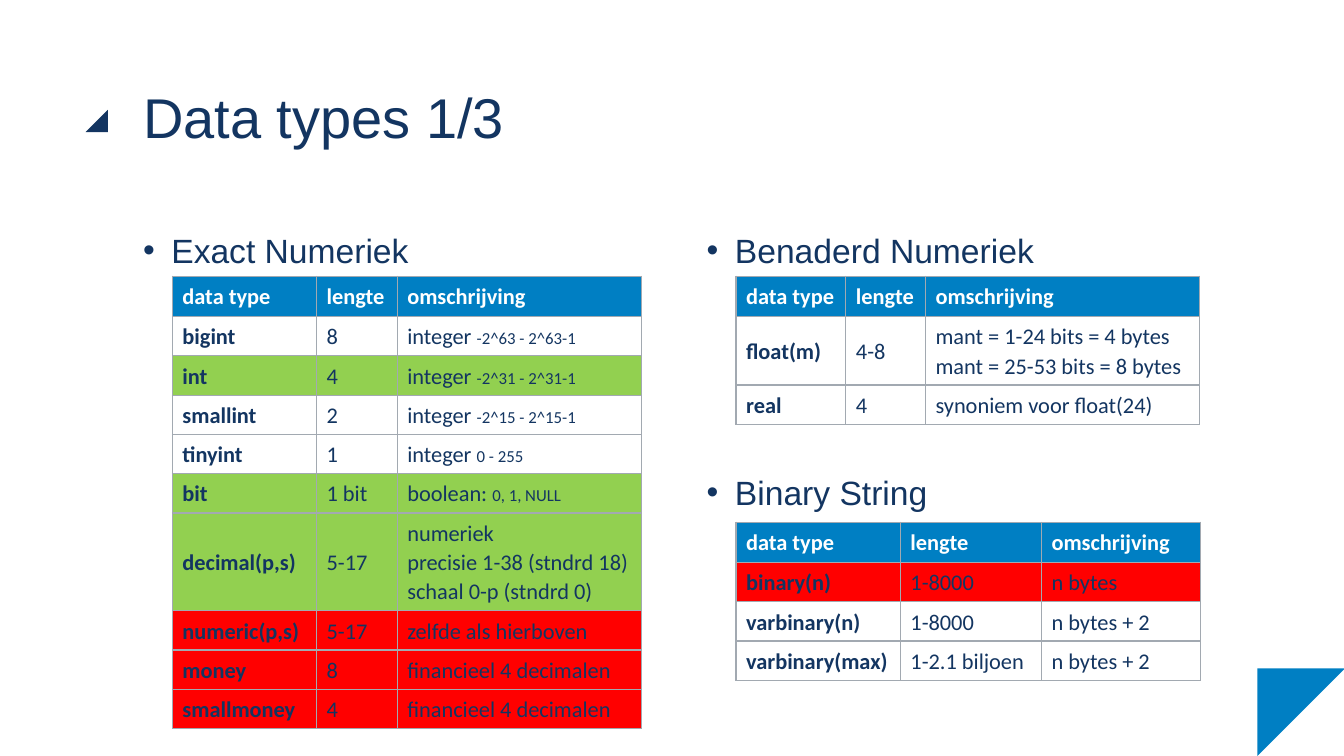
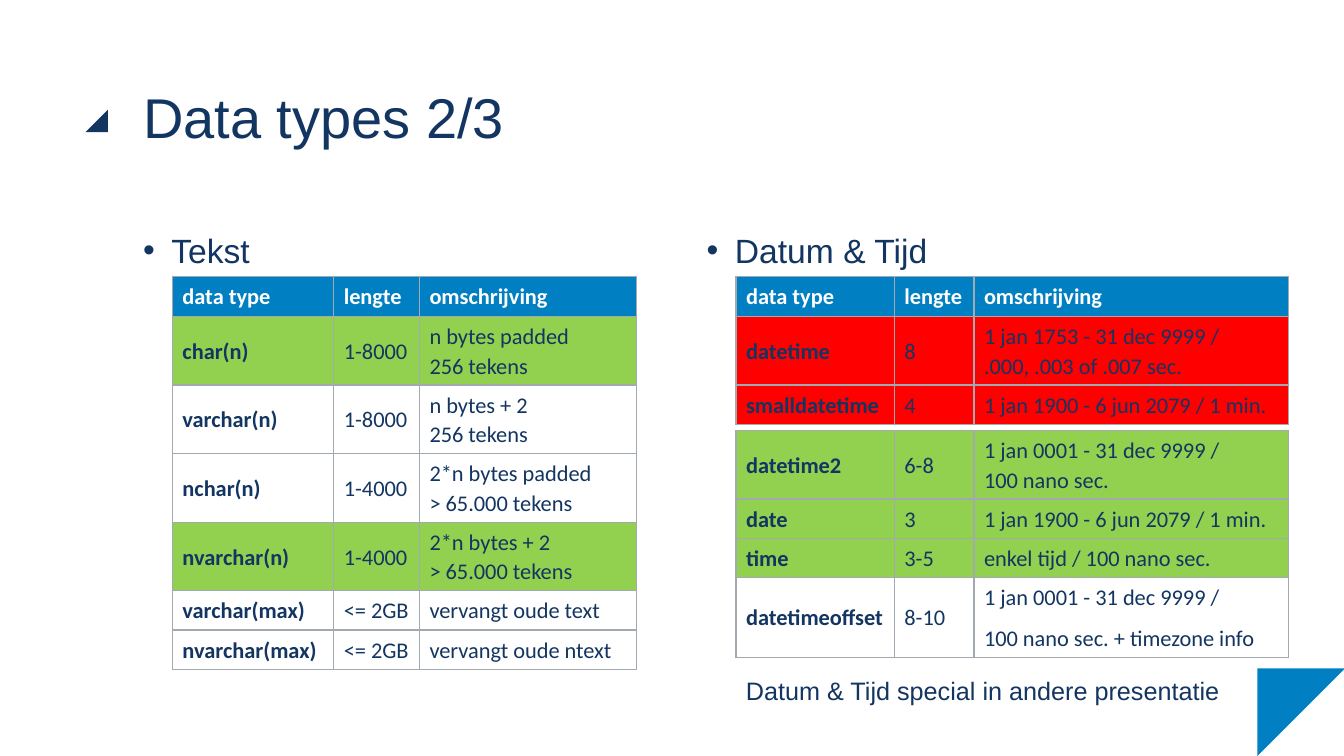
from copy import deepcopy

from lxml.etree import SubElement
from pptx import Presentation
from pptx.dml.color import RGBColor
from pptx.enum.shapes import MSO_SHAPE as SHAPE
from pptx.enum.text import MSO_ANCHOR as ANCHOR, MSO_AUTO_SIZE as AUTO, PP_ALIGN as ALIGN
from pptx.oxml.ns import qn
from pptx.util import Inches, Pt

COLORS = {"navy": "133561", "blue": "007FC3", "white": "FFFFFF",
          "green": "92D050", "red": "FF0000", "grid": "A2A9B1"}
HEADER = ("blue", "data type", "lengte", "omschrijving")
LEFT, RIGHT = 1.42, 7.01
TOP, LOWER = 2.2, 4.6
INDENT = 0.28
TABLE_SHIFT = 0.29
TABLE_TOP = 2.74
HEADER_H, LINE_H, CELL_PAD, PARA_GAP = 0.4, 0.29, 0.1, 0.11
DATE_COLS = (1.57, 0.79, 3.12)

SLIDES = [
    {
        "title": "Data types 1/3",
        "headings": [("Exact Numeriek", LEFT, TOP), ("Benaderd Numeriek", RIGHT, TOP),
                     ("Binary String", RIGHT, LOWER)],
        "tables": [
            (LEFT, TABLE_TOP, (1.43, 0.8, 2.42), [
                HEADER,
                ("white", "bigint", "8", "integer |-2^63 - 2^63-1"),
                ("green", "int", "4", "integer |-2^31 - 2^31-1"),
                ("white", "smallint", "2", "integer |-2^15 - 2^15-1"),
                ("white", "tinyint", "1", "integer |0 - 255"),
                ("green", "bit", "1 bit", "boolean: |0, 1, NULL"),
                ("green", "decimal(p,s)", "5-17",
                 "numeriek\nprecisie 1-38 (stndrd 18)\nschaal 0-p (stndrd 0)"),
                ("red", "numeric(p,s)", "5-17", "zelfde als hierboven"),
                ("red", "money", "8", "financieel 4 decimalen"),
                ("red", "smallmoney", "4", "financieel 4 decimalen"),
            ]),
            (RIGHT, TABLE_TOP, (1.09, 0.79, 2.72), [
                HEADER,
                ("white", "float(m)", "4-8",
                 "mant = 1-24 bits = 4 bytes\nmant = 25-53 bits = 8 bytes"),
                ("white", "real", "4", "synoniem voor float(24)"),
            ]),
            (RIGHT, 5.18, (1.63, 1.4, 1.58), [
                HEADER,
                ("red", "binary(n)", "1-8000", "n bytes"),
                ("white", "varbinary(n)", "1-8000", "n bytes + 2"),
                ("white", "varbinary(max)", "1-2.1 biljoen", "n bytes + 2"),
            ]),
        ],
    },
    {
        "title": "Data types 2/3",
        "headings": [("Tekst", LEFT, TOP), ("Datum & Tijd", RIGHT, TOP)],
        "tables": [
            (LEFT, TABLE_TOP, (1.6, 0.85, 2.15), [
                HEADER,
                ("green", "char(n)", "1-8000", "n bytes padded\n256 tekens"),
                ("white", "varchar(n)", "1-8000", "n bytes + 2\n256 tekens"),
                ("white", "nchar(n)", "1-4000", "2*n bytes padded\n> 65.000 tekens"),
                ("green", "nvarchar(n)", "1-4000", "2*n bytes + 2\n> 65.000 tekens"),
                ("white", "varchar(max)", "<= 2GB", "vervangt oude text"),
                ("white", "nvarchar(max)", "<= 2GB", "vervangt oude ntext"),
            ]),
            (RIGHT, TABLE_TOP, DATE_COLS, [
                HEADER,
                ("red", "datetime", "8", "1 jan 1753 - 31 dec 9999 /\n.000, .003 of .007 sec."),
                ("red", "smalldatetime", "4", "1 jan 1900 - 6 jun 2079 / 1 min."),
            ]),
            (RIGHT, 4.27, DATE_COLS, [
                ("green", "datetime2", "6-8", "1 jan 0001 - 31 dec 9999 /\n100 nano sec."),
                ("green", "date", "3", "1 jan 1900 - 6 jun 2079 / 1 min."),
                ("green", "time", "3-5", "enkel tijd / 100 nano sec."),
                ("white", "datetimeoffset", "8-10",
                 ["1 jan 0001 - 31 dec 9999 /", "100 nano sec. + timezone info"]),
            ]),
        ],
        "note": "Datum & Tijd special in andere presentatie",
    },
]


def rgb(name):
    return RGBColor.from_string(COLORS[name])


def add_run(p, text, size, color="navy", font="Arial", bold=False):
    r = p.add_run()
    r.text = text
    r.font.size, r.font.name, r.font.bold = Pt(size), font, bold
    r.font.color.rgb = rgb(color)
    return r


def place(sp, x, y, w, h):
    sp.left, sp.top, sp.width, sp.height = (Inches(v) for v in (x, y, w, h))


def clear_margins(tf):
    tf.margin_left = tf.margin_right = tf.margin_top = tf.margin_bottom = 0
    tf.vertical_anchor = ANCHOR.TOP
    tf.word_wrap = True


def add_triangle(s, x, y, size, color):
    sp = s.shapes.add_shape(SHAPE.RIGHT_TRIANGLE, Inches(x), Inches(y), Inches(size), Inches(size))
    sp.shadow.inherit = False
    sp.fill.solid()
    sp.fill.fore_color.rgb = rgb(color)
    sp.line.fill.background()
    return sp


def add_frame(s, title):
    add_triangle(s, 0.85, 1.09, 0.22, "navy").element.spPr.get_or_add_xfrm().set("flipH", "1")
    add_triangle(s, 12.47, 6.63, 0.87, "blue").rotation = 90
    sp = s.shapes.title
    place(sp, LEFT, 0.79, 10.79, 1.42)
    tf = sp.text_frame
    clear_margins(tf)
    tf.auto_size = AUTO.NONE
    p = tf.paragraphs[0]
    p.alignment, p.line_spacing = ALIGN.LEFT, 1.05
    add_run(p, title, 40)


def add_heading(s, text, x, y):
    tf = s.shapes.add_textbox(Inches(x), Inches(y), Inches(5.2), Inches(0.5)).text_frame
    clear_margins(tf)
    p = tf.paragraphs[0]
    p.line_spacing = 1.2
    pPr = p._p.get_or_add_pPr()
    pPr.set("marL", str(Inches(INDENT)))
    pPr.set("indent", str(-Inches(INDENT)))
    SubElement(pPr, qn("a:buFont")).set("typeface", "Arial")
    SubElement(pPr, qn("a:buChar")).set("char", "•")
    add_run(p, text, 24)


def add_borders(cell):
    tcPr = cell._tc.get_or_add_tcPr()
    for side in "LRTB":
        ln = SubElement(tcPr, qn(f"a:ln{side}"), w=str(Pt(1)))
        SubElement(SubElement(ln, qn("a:solidFill")), qn("a:srgbClr")).set("val", COLORS["grid"])


def fill_cell(cell, content, fill, color, bold):
    add_borders(cell)
    cell.fill.solid()
    cell.fill.fore_color.rgb = rgb(fill)
    cell.vertical_anchor = ANCHOR.MIDDLE
    tf = cell.text_frame
    for i, text in enumerate(paragraphs_of(content)):
        p = tf.add_paragraph() if i else tf.paragraphs[0]
        p.line_spacing, p.space_after = 1.07, Pt(8)
        for j, line in enumerate(text.split("\n")):
            if j:
                p.add_line_break()
                p._p[-1].append(deepcopy(r._r.rPr))
            main, _, small = line.partition("|")
            r = add_run(p, main, 16, color, "Calibri", bold)
            if small:
                add_run(p, small, 12, color, "Calibri", bold)


def paragraphs_of(content):
    return content if isinstance(content, list) else [content]


def row_height(row):
    if row == HEADER:
        return HEADER_H
    paras = paragraphs_of(row[-1])
    lines = sum(text.count("\n") + 1 for text in paras)
    return CELL_PAD + lines * LINE_H + (len(paras) - 1) * PARA_GAP


def add_data_table(s, x, y, widths, rows):
    heights = [row_height(row) for row in rows]
    tbl = s.shapes.add_table(len(rows), len(widths), Inches(x + TABLE_SHIFT), Inches(y),
                             Inches(sum(widths)), Inches(sum(heights))).table
    tbl.first_row = rows[0] == HEADER
    tbl.horz_banding = False
    for col, width in zip(tbl.columns, widths):
        col.width = Inches(width)
    for i, (fill, *contents) in enumerate(rows):
        tbl.rows[i].height = Inches(heights[i])
        header = rows[i] == HEADER
        for j, content in enumerate(contents):
            fill_cell(tbl.cell(i, j), content, fill, "white" if header else "navy",
                      header or j == 0)


def add_note(s, text):
    tf = s.shapes.add_textbox(Inches(RIGHT + TABLE_SHIFT), Inches(6.65),
                              Inches(5.2), Inches(0.4)).text_frame
    tf.word_wrap = True
    add_run(tf.paragraphs[0], text, 18)


def main():
    prs = Presentation()
    prs.slide_width, prs.slide_height = Inches(13.33), Inches(7.5)
    for data in SLIDES:
        s = prs.slides.add_slide(prs.slide_layouts[5])
        add_frame(s, data["title"])
        for heading in data["headings"]:
            add_heading(s, *heading)
        for table in data["tables"]:
            add_data_table(s, *table)
        if "note" in data:
            add_note(s, data["note"])
    prs.save("out.pptx")


if __name__ == "__main__":
    main()
